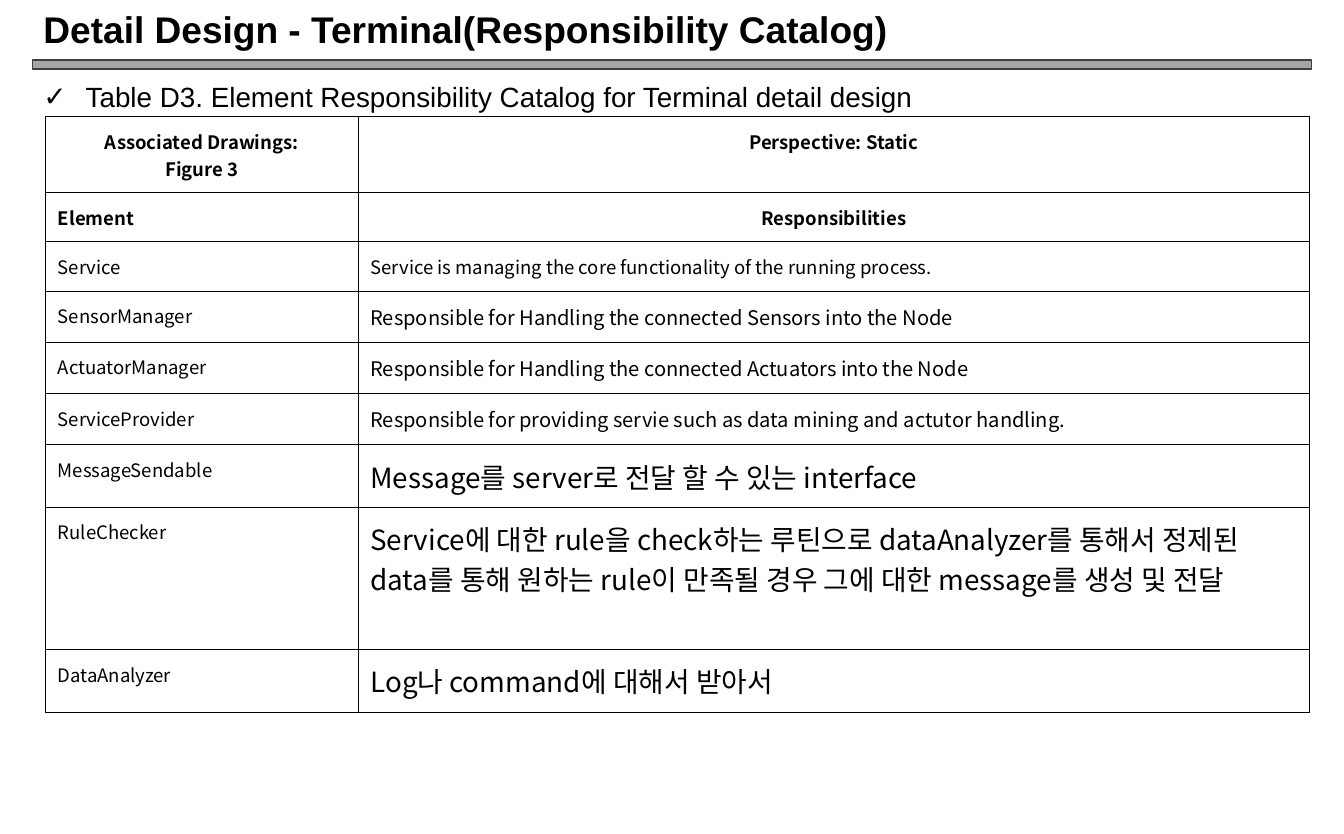
from lxml import etree
from pptx import Presentation
from pptx.dml.color import RGBColor
from pptx.enum.shapes import MSO_SHAPE
from pptx.enum.text import MSO_ANCHOR, MSO_AUTO_SIZE, PP_ALIGN
from pptx.oxml.ns import qn
from pptx.util import Inches, Pt

LEFT, CENTER = PP_ALIGN.LEFT, PP_ALIGN.CENTER
TOP, MIDDLE = MSO_ANCHOR.TOP, MSO_ANCHOR.MIDDLE
NO_FIT = MSO_AUTO_SIZE.NONE
BAR = MSO_SHAPE.FLOWCHART_PROCESS

# Each heading: left text, right text, height
HEADS = [
    ("Associated Drawings:\nFigure 3", "Perspective: Static", 0.68),
    ("Element", "Responsibilities", 0.44),
]
# Each item: element, responsibility, size of the responsibility, height
ITEMS = [
    ("Service", "Service is managing the core functionality of the running process.", 12, 0.44),
    ("SensorManager", "Responsible for Handling the connected Sensors into the Node", 13, 0.46),
    ("ActuatorManager", "Responsible for Handling the connected Actuators into the Node", 13, 0.46),
    ("ServiceProvider",
     "Responsible for providing servie such as data mining and actutor handling.", 13, 0.46),
    ("MessageSendable", "Message를 server로 전달 할 수 있는 interface", 18, 0.56),
    ("RuleChecker",
     "Service에 대한 rule을 check하는 루틴으로 dataAnalyzer를 통해서 정제된 data를 통해 "
     "원하는 rule이 만족될 경우 그에 대한 message를 생성 및 전달", 18, 1.28),
    ("DataAnalyzer", "Log나 command에 대해서 받아서", 18, 0.56),
]


def color(code):
    return RGBColor.from_string(code)


class Page:
    ink, grey, edge = "000000", "A6A6A6", "404040"
    sans, cjk = "Arial", "Noto Sans CJK KR"

    def __init__(self, deck):
        self.slide = deck.slides.add_slide(deck.slide_layouts[1])

    def label(self, frame, text, face, size, bold=False, align=LEFT):
        frame.text = text
        for para in frame.paragraphs:
            para.alignment = align
            font = para.font
            font.name, font.size, font.bold = face, Pt(size), bold
            font.color.rgb = color(self.ink)
            # East Asian letters use the same face
            base = para._p.pPr.find(qn("a:defRPr"))
            etree.SubElement(base, qn("a:ea"), typeface=face)

    def place(self, shape, box, text, size, bold, anchor):
        shape.left, shape.top, shape.width, shape.height = map(Inches, box)
        frame = shape.text_frame
        frame.auto_size, frame.word_wrap = NO_FIT, True
        frame.vertical_anchor = anchor
        self.label(frame, text, self.sans, size, bold)
        return frame

    def title(self, text, box):
        self.place(self.slide.shapes.title, box, text, 24, True, MIDDLE)

    def point(self, text, box):
        frame = self.place(self.slide.placeholders[1], box, text, 18, False, TOP)
        para = frame.paragraphs[0]
        para.space_before = Pt(3.6)
        props = para._p.pPr
        props.set("marL", str(Inches(0.38)))
        props.set("indent", str(Inches(-0.38)))
        mark = etree.Element(qn("a:buChar"), char="✓")
        props.find(qn("a:defRPr")).addprevious(mark)

    def bar(self, box):
        shape = self.slide.shapes.add_shape(BAR, *map(Inches, box))
        shape.shadow.inherit = False
        shape.fill.solid()
        shape.fill.fore_color.rgb = color(self.grey)
        shape.line.color.rgb = color(self.edge)
        shape.line.width = Pt(0.75)

    def cell(self, cell, text, size, bold, align):
        cell.margin_left = cell.margin_right = Inches(0.11)
        cell.margin_top = cell.margin_bottom = Inches(0.1)
        cell.vertical_anchor = TOP
        self.label(cell.text_frame, text, self.cjk, size, bold, align)
        props = cell._tc.get_or_add_tcPr()
        for side in "LRTB":
            line = etree.SubElement(props, qn("a:ln" + side), w=str(Pt(0.75)))
            fill = etree.SubElement(line, qn("a:solidFill"))
            etree.SubElement(fill, qn("a:srgbClr"), val=self.ink)
        cell.fill.background()

    def table(self, left, top, widths, heads, items):
        # Headings are bold and centred, except the "Element" label
        rows = [((a, 12, True, LEFT if a == "Element" else CENTER),
                 (b, 12, True, CENTER), high) for a, b, high in heads]
        rows += [((a, 12, False, LEFT), (b, size, False, LEFT), high)
                 for a, b, size, high in items]
        total = sum(row[-1] for row in rows)
        grid = self.slide.shapes.add_table(
            len(rows), len(widths), Inches(left), Inches(top),
            Inches(sum(widths)), Inches(total)).table
        for col, wide in zip(grid.columns, widths):
            col.width = Inches(wide)
        for line, (*cells, high) in zip(grid.rows, rows):
            line.height = Inches(high)
            for cell, style in zip(line.cells, cells):
                self.cell(cell, *style)


def main():
    deck = Presentation()
    deck.slide_width, deck.slide_height = Inches(12.08), Inches(7.5)
    page = Page(deck)

    # Heading
    page.bar((0.29, 0.54, 11.5, 0.08))
    page.title("Detail Design - Terminal(Responsibility Catalog)", (0.29, -0.01, 11.5, 0.54))
    page.point("Table D3. Element Responsibility Catalog for Terminal detail design",
               (0.29, 0.67, 11.5, 0.77))

    # Catalog
    page.table(0.41, 1.05, (2.81, 8.55), HEADS, ITEMS)
    deck.save("out.pptx")


if __name__ == "__main__":
    main()
